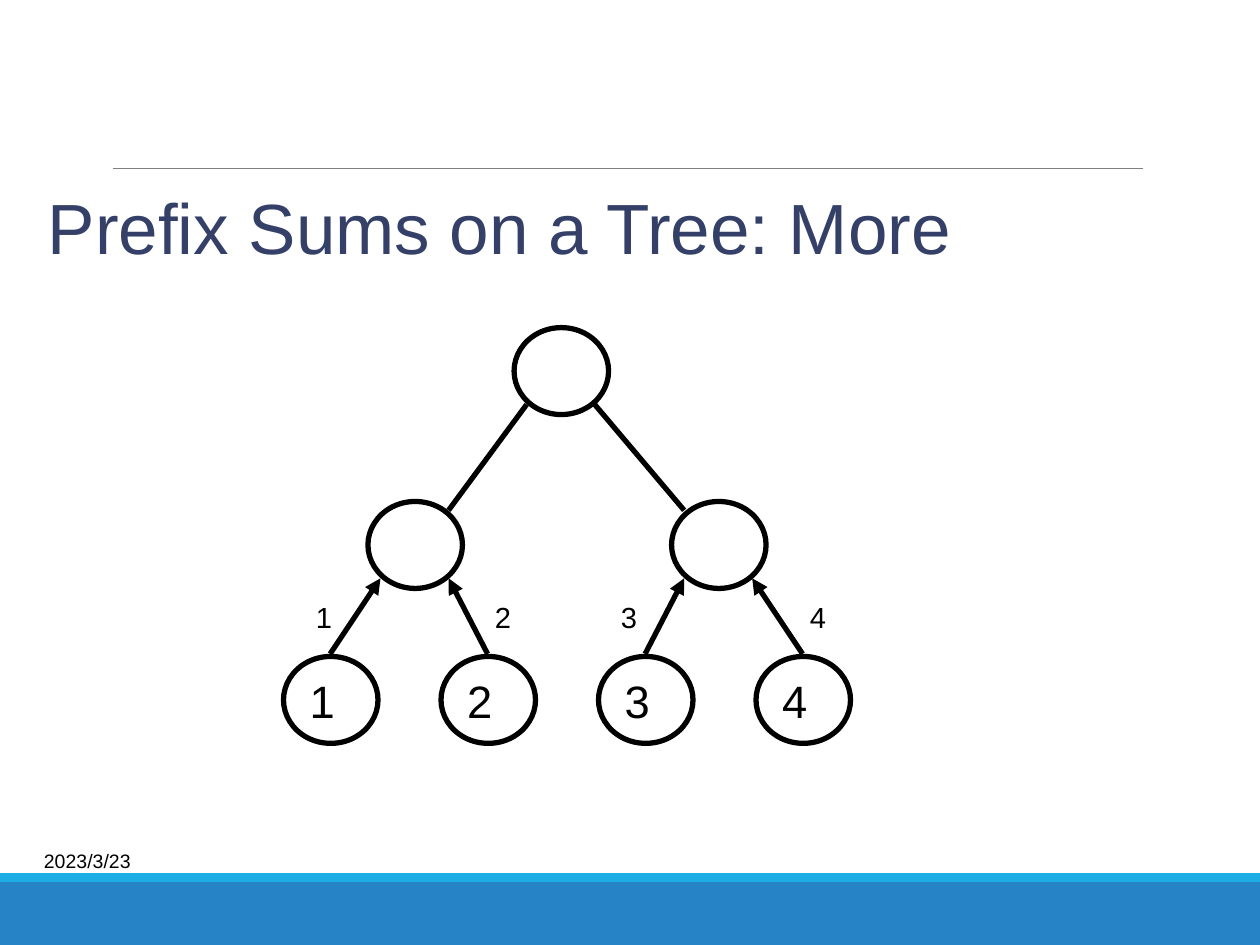
from dataclasses import dataclass

from lxml import etree
from pptx import Presentation
from pptx import util as u
from pptx.dml.color import RGBColor
from pptx.enum import shapes, text
from pptx.oxml import ns

PX = 9144  # 100 px to the inch


@dataclass(frozen=True)
class Theme:
    font: str = "Arial"
    ink: str = "000000"
    title: str = "344068"
    rule: str = "808080"
    band: str = "2683C6"
    stripe: str = "1CADE4"
    title_size: float = 40.6
    node_size: float = 25.9
    label_size: float = 16.6
    date_size: float = 11.1
    stroke: float = 3
    hairline: float = 0.5


THEME = Theme()
NODE_W, NODE_H = 75, 69
DIAGONAL = 27  # from a node's centre to its 45-degree edge points


def px(*lengths):
    return [u.Emu(length * PX) for length in lengths]


def write(shape, words, size, color=THEME.ink, wrap=False, anchor=text.MSO_ANCHOR.TOP):
    frame = shape.text_frame
    frame.word_wrap = wrap
    frame.auto_size = text.MSO_AUTO_SIZE.NONE
    frame.vertical_anchor = anchor
    paragraph = frame.paragraphs[0]
    paragraph.alignment = text.PP_ALIGN.LEFT
    run = paragraph.add_run()
    run.text = words
    run.font.name = THEME.font
    run.font.size = u.Pt(size)
    run.font.color.rgb = RGBColor.from_string(color)


def add_line(parent, start, end, color=THEME.ink, width=THEME.stroke, arrow=False):
    line = parent.add_connector(shapes.MSO_CONNECTOR.STRAIGHT, *px(*start, *end))
    line.line.color.rgb = RGBColor.from_string(color)
    line.line.width = u.Pt(width)
    if arrow:
        etree.SubElement(line.line._get_or_add_ln(), ns.qn("a:tailEnd"), type="triangle")
    etree.SubElement(line._element.spPr, ns.qn("a:effectLst"))


def add_band(slide, box, color):
    band = slide.shapes.add_shape(shapes.MSO_SHAPE.RECTANGLE, *px(*box))
    band.shadow.inherit = False
    band.fill.solid()
    band.fill.fore_color.rgb = RGBColor.from_string(color)
    band.line.fill.background()


def add_node(parent, left, top, value=None):
    """Draw a tree node and return its centre."""
    node = parent.add_shape(shapes.MSO_SHAPE.OVAL, *px(left, top, NODE_W, NODE_H))
    node.shadow.inherit = False
    node.fill.background()
    node.line.color.rgb = RGBColor.from_string(THEME.ink)
    node.line.width = u.Pt(THEME.stroke)
    if value:
        write(node, value, THEME.node_size, anchor=text.MSO_ANCHOR.MIDDLE)
    return left + NODE_W // 2, top + NODE_H // 2


def corner(centre, side, level):
    """Edge point of a node: side -1 left, 1 right; level -1 top, 1 bottom."""
    return centre[0] + side * DIAGONAL, centre[1] + level * DIAGONAL


def add_frame(slide, left, top, width, height):
    # Bands at the foot and the rule above the title
    add_band(slide, (left, top + height - 50, width, 50), THEME.band)
    add_band(slide, (left, top + height - 57, width, 7), THEME.stripe)
    add_line(slide.shapes, (left + 90, top + 134), (left + 907, top + 134),
             THEME.rule, THEME.hairline)
    # Date
    date = slide.shapes.add_textbox(*px(left + 25, top + height - 90, 208, 46))
    write(date, "2023/3/23", THEME.date_size, anchor=text.MSO_ANCHOR.MIDDLE)


def add_title(slide, *box):
    title = slide.shapes.title
    title.left, title.top, title.width, title.height = px(*box)
    write(title, "Prefix Sums on a Tree: More", THEME.title_size, THEME.title,
          wrap=True, anchor=text.MSO_ANCHOR.MIDDLE)


def add_tree(slide, left, top):
    tree = slide.shapes.add_group_shape().shapes
    leaf_top = top + 261

    # Nodes
    leaves = [add_node(tree, left + 125 * i, leaf_top, str(i + 1)) for i in range(4)]
    inner = [add_node(tree, left + x, top + 138) for x in (67, 308)]
    root = add_node(tree, left + 183, top)

    # Edges between the root and the inner nodes
    for side, node in zip((-1, 1), inner):
        add_line(tree, corner(root, side, 1), corner(node, -side, -1))

    # Arrows from the leaves up to the inner nodes
    for i, leaf in enumerate(leaves):
        side = 1 if i % 2 else -1
        add_line(tree, (leaf[0], leaf_top - 2), corner(inner[i // 2], side, 1), arrow=True)

    # Values sent along the arrows
    for i, x in enumerate((16, 158, 258, 408)):
        label = tree.add_textbox(*px(left + x, top + 211, 33, 38))
        write(label, str(i + 1), THEME.label_size)


def main():
    deck = Presentation()
    deck.slide_width, deck.slide_height = px(1000, 750)
    slide = deck.slides.add_slide(deck.slide_layouts[5])
    add_frame(slide, 0, 0, 1000, 750)
    add_tree(slide, 225, 260)
    add_title(slide, 28, 122, 900, 115)
    deck.save("out.pptx")


if __name__ == "__main__":
    main()
